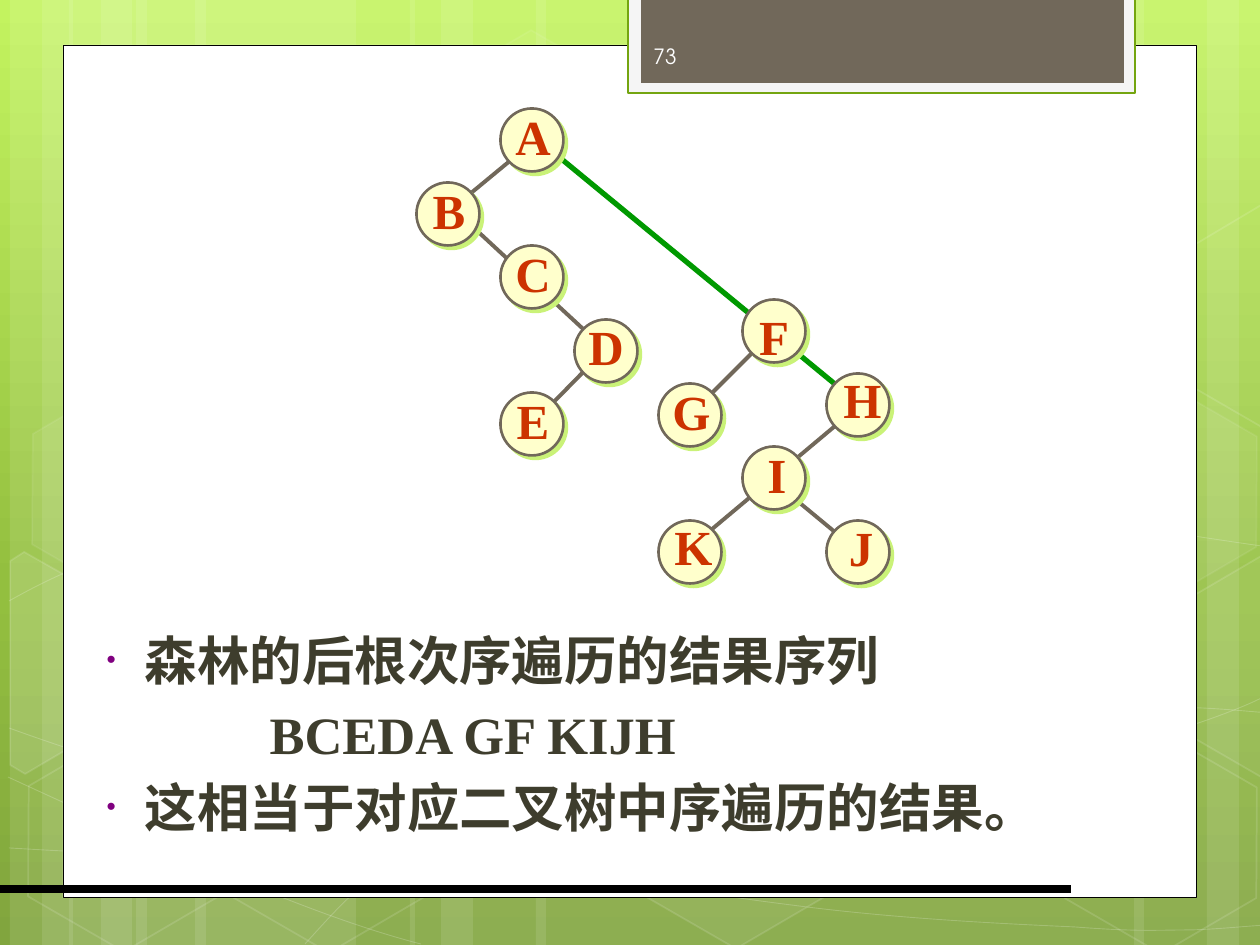
from copy import deepcopy
from math import cos, radians, sin

from pptx import Presentation
from pptx import util as u
from pptx.dml.color import RGBColor
from pptx.enum import shapes, text
from pptx.oxml.ns import qn
from lxml import etree

EMU = 914400 / 126
WIDE, HIGH = 1260, 945
DOT, TILT = 63, 30
SERIF, SANS = "Times New Roman", "TeX Gyre Adventor"

INK = {
    "top": "C3F35F", "mid": "93BF3F", "low": "81A53E",
    "white": "FFFFFF", "black": "000000", "frame": "F5F5F5",
    "edge": "74A510", "taupe": "71685A", "green": "009900",
    "cream": "FFFFCC", "shade": "CAF278", "red": "CC3300",
    "body": "3E3D2D", "bullet": "800080", "page": "FEFEFE",
}

# Background: bars (x, width), curves (start, cubic segments), hexagons
BARS = [(136, 220), (10, 63), (42, 105), (195, 220), (69, 63), (101, 105),
        (924, 220), (1207, 63), (1134, 105), (536, 388), (410, 63), (441, 105)]
CURVES = [
    ((9, 848), [(77, 852, 145, 856, 239, 854), (334, 853, 451, 851, 577, 838),
                (703, 825, 882, 801, 998, 777), (1113, 753, 1231, 716, 1269, 694)]),
    ((9, 601), [(45, 581, 82, 562, 152, 543), (224, 524, 326, 499, 437, 488),
                (549, 479, 685, 478, 824, 488), (963, 498, 1193, 537, 1269, 547)]),
    ((8, 777), [(160, 847, 311, 916, 421, 944)]),
    ((9, 728), [(48, 742, 88, 756, 161, 776), (234, 795, 344, 827, 450, 848),
                (554, 869, 687, 892, 791, 905), (896, 919, 1008, 924, 1075, 927),
                (1140, 932, 1158, 930, 1191, 930), (1223, 929, 1246, 926, 1269, 925)]),
    ((305, 944), [(328, 919, 350, 893, 381, 871), (411, 848, 454, 823, 489, 805),
                  (524, 788, 546, 780, 592, 767), (638, 754, 722, 737, 766, 728),
                  (811, 719, 818, 719, 857, 717), (896, 713, 958, 709, 1000, 708),
                  (1045, 707, 1116, 708, 1116, 708), (1116, 708, 1201, 708, 1201, 708),
                  (1223, 709, 1244, 711, 1256, 712), (1268, 713, 1264, 712, 1268, 713)]),
]
# x, y, fill opacity, line opacity
HEXES = [(421, 45, 4, 8), (626, 742, 6, 12), (14, 745, 0, 12), (18, 393, 7, 8),
         (219, 746, 0, 12), (949, 571, 10, 12), (1051, 747, 0, 12), (1051, 396, 7, 8)]
# fill opacity, centre of turn, corners as seen
CUTS = [
    (10, (45, 674), [(10, 561), (24, 552), (121, 607), (120, 718), (25, 774), (10, 765)]),
    (4, (1241, 655), [(1167, 611), (1261, 556), (1271, 562), (1271, 772), (1262, 777),
                      (1167, 722)]),
    (0, (1241, 304), [(1167, 261), (1261, 205), (1272, 212), (1271, 422), (1262, 427),
                      (1167, 372)]),
]

# Tree: line ends, then node centres with the shift of each letter
EDGES = [(553, 152, 847, 394, "green", 3), (595, 360, 543, 413, "taupe", 2.25),
         (459, 214, 595, 340, "taupe", 2.25), (522, 151, 459, 203, "taupe", 2.25),
         (795, 499, 847, 542, "taupe", 2.25), (847, 416, 711, 530, "taupe", 2.25),
         (764, 341, 701, 404, "taupe", 2.25)]
NODES = {"A": (532, 140, 1, -4), "B": (448, 214, 1, -4), "C": (532, 277, 1, -4),
         "D": (606, 351, 0, -5), "E": (532, 424, 1, -4), "F": (774, 331, 0, 5),
         "G": (690, 415, 0, -4), "H": (858, 405, 3, -6), "I": (774, 478, 3, -4),
         "K": (690, 552, 2, -6), "J": (858, 552, 3, -5)}

# Text, left margin, bulleted
LINES = [("森林的后根次序遍历的结果序列", 48, True),
         ("BCEDA GF KIJH", 173, False),
         ("这相当于对应二叉树中序遍历的结果。", 48, True)]


def px(n):
    return u.Emu(round(n * EMU))


def rgb(name):
    return RGBColor.from_string(INK[name])


def fade(shape, route, pct):
    for tone in shape._element.xpath(f"./p:spPr/{route}/a:srgbClr"):
        etree.SubElement(tone, qn("a:alpha")).set("val", str(pct * 1000))


def paint(shape, fill=None, line=None, width=1, clear=100, faint=100):
    """Set fill and line, with their opacity in percent."""
    shape.shadow.inherit = False
    if fill and clear:
        shape.fill.solid()
        shape.fill.fore_color.rgb = rgb(fill)
        if clear < 100:
            fade(shape, "a:solidFill", clear)
    else:
        shape.fill.background()
    if line:
        shape.line.color.rgb = rgb(line)
        shape.line.width = u.Pt(width)
        if faint < 100:
            fade(shape, "a:ln/a:solidFill", faint)
    else:
        shape.line.fill.background()
    return shape


def preset(slide, kind, x, y, w, h, *look, **more):
    shape = slide.shapes.add_shape(kind, px(x), px(y), px(w), px(h))
    return paint(shape, *look, **more)


def outline(slide, spots, close):
    spots = [(px(x), px(y)) for x, y in spots]
    form = slide.shapes.build_freeform(*spots[0])
    form.add_line_segments(spots[1:], close=close)
    return form.convert_to_shape()


def curve(slide, start, parts):
    """Draw the control points, then join each three as one cubic."""
    spots = [start] + [p[i:i + 2] for p in parts for i in (0, 2, 4)]
    shape = outline(slide, spots, False)
    legs = shape._element.xpath(".//a:lnTo")
    for i in range(0, len(legs), 3):
        cubic = etree.Element(qn("a:cubicBezTo"))
        legs[i].addprevious(cubic)
        for leg in legs[i:i + 3]:
            cubic.append(leg[0])
            leg.getparent().remove(leg)
    return shape


def unturn(spot, hub):
    """Place of a corner before the shape is turned about its hub."""
    x, y = spot[0] - hub[0], spot[1] - hub[1]
    c, s = cos(radians(TILT)), sin(radians(TILT))
    return hub[0] + x * c + y * s, hub[1] - x * s + y * c


def rule(slide, x1, y1, x2, y2, tone, width):
    line = slide.shapes.add_connector(
        shapes.MSO_CONNECTOR.STRAIGHT, px(x1), px(y1), px(x2), px(y2))
    line.line.color.rgb = rgb(tone)
    line.line.width = u.Pt(width)
    etree.SubElement(line._element.spPr, qn("a:effectLst"))


def write(para, words, size, face, tone, bold=False):
    run = para.add_run()
    run.text = words
    font = run.font
    font.size, font.name, font.bold = u.Pt(size), face, bold
    font.color.rgb = rgb(tone)


def label(slide, words, x, y, w, h, *look, align=text.PP_ALIGN.LEFT, wrap=True):
    frame = slide.shapes.add_textbox(px(x), px(y), px(w), px(h)).text_frame
    frame.word_wrap = wrap
    frame.vertical_anchor = text.MSO_ANCHOR.MIDDLE
    frame.paragraphs[0].alignment = align
    write(frame.paragraphs[0], words, *look)


def node(slide, name, x, y, dx, dy):
    half = DOT / 2
    dot = preset(slide, shapes.MSO_SHAPE.OVAL, x - half, y - half, DOT, DOT,
                 "cream", "taupe", 1.5)
    glow = etree.SubElement(dot._element.spPr.find(qn("a:effectLst")), qn("a:outerShdw"),
                            dist=str(u.Pt(2.8)), dir="2700000", algn="ctr", rotWithShape="0")
    etree.SubElement(glow, qn("a:srgbClr"), val=INK["shade"])
    label(slide, name, x + dx - 30, y + dy - 36, 60, 72, 28, SERIF, "red", True,
          align=text.PP_ALIGN.CENTER, wrap=False)


def backdrop(slide):
    fill = slide.background.fill
    fill.gradient()
    fill.gradient_angle = 270
    first = slide._element.find(".//" + qn("a:gs"))
    first.addnext(deepcopy(first))
    for stop, tone, spot in zip(fill.gradient_stops, ("top", "mid", "low"), (0, 0.62, 1)):
        stop.color.rgb = rgb(tone)
        stop.position = spot
    for x, w in BARS:
        preset(slide, shapes.MSO_SHAPE.RECTANGLE, x, 0, w, HIGH, "white", clear=10)
    for start, parts in CURVES:
        paint(curve(slide, start, parts), None, "white", 0.5, faint=20)
    for x, y, clear, faint in HEXES:
        cell = preset(slide, shapes.MSO_SHAPE.HEXAGON, x, y, 220, 192,
                      "white", "white", 1, clear, faint)
        cell.adjustments[0] = 0.285
        cell.rotation = TILT
    for clear, hub, spots in CUTS:
        cut = outline(slide, [unturn(spot, hub) for spot in spots], True)
        paint(cut, "white", "white", 1, clear, 12).rotation = TILT


def panel(slide):
    box = shapes.MSO_SHAPE.RECTANGLE
    preset(slide, box, 63, 45, 1134, 853, "white", "black", 0.5)
    preset(slide, box, 628, -3, 507, 96, "frame", "edge", 1.25)
    preset(slide, box, 641, -3, 483, 86, "taupe")
    rule(slide, 0, 889, 1071, 889, "black", 4.5)


def bullet(para, left, mark):
    """Set indents, and a small coloured dot or none."""
    prop = para._p.get_or_add_pPr()
    prop.set("marL", str(px(left)))
    prop.set("indent", str(px(-38 if mark else 0)))
    if not mark:
        etree.SubElement(prop, qn("a:buNone"))
        return
    tone = etree.SubElement(prop, qn("a:buClr"))
    etree.SubElement(tone, qn("a:srgbClr"), val=INK["bullet"])
    etree.SubElement(prop, qn("a:buSzPct"), val="50000")
    etree.SubElement(prop, qn("a:buChar"), char="•")


def body(slide):
    hold = slide.placeholders[1]
    hold.left, hold.top, hold.width, hold.height = px(84), px(622), px(1134), px(258)
    slide.shapes._spTree.append(hold._element)  # bring in front of the panel
    frame = hold.text_frame
    frame.auto_size = text.MSO_AUTO_SIZE.NONE
    frame.vertical_anchor = text.MSO_ANCHOR.TOP
    for i, (words, left, mark) in enumerate(LINES):
        para = frame.add_paragraph() if i else frame.paragraphs[0]
        bullet(para, left, mark)
        para.space_before = u.Pt(6 if i else 0)
        write(para, words, 30, SERIF, "body", True)


def main():
    deck = Presentation()
    deck.slide_width, deck.slide_height = px(WIDE), px(HIGH)
    slide = deck.slides.add_slide(deck.slide_layouts[1])
    title = slide.shapes.title._element
    title.getparent().remove(title)
    backdrop(slide)
    panel(slide)
    body(slide)
    label(slide, "73", 641, 31, 184, 50, 12, SANS, "page")
    # Binary tree of the forest
    for edge in EDGES:
        rule(slide, *edge)
    for name, spot in NODES.items():
        node(slide, name, *spot)
    deck.save("out.pptx")


if __name__ == "__main__":
    main()
